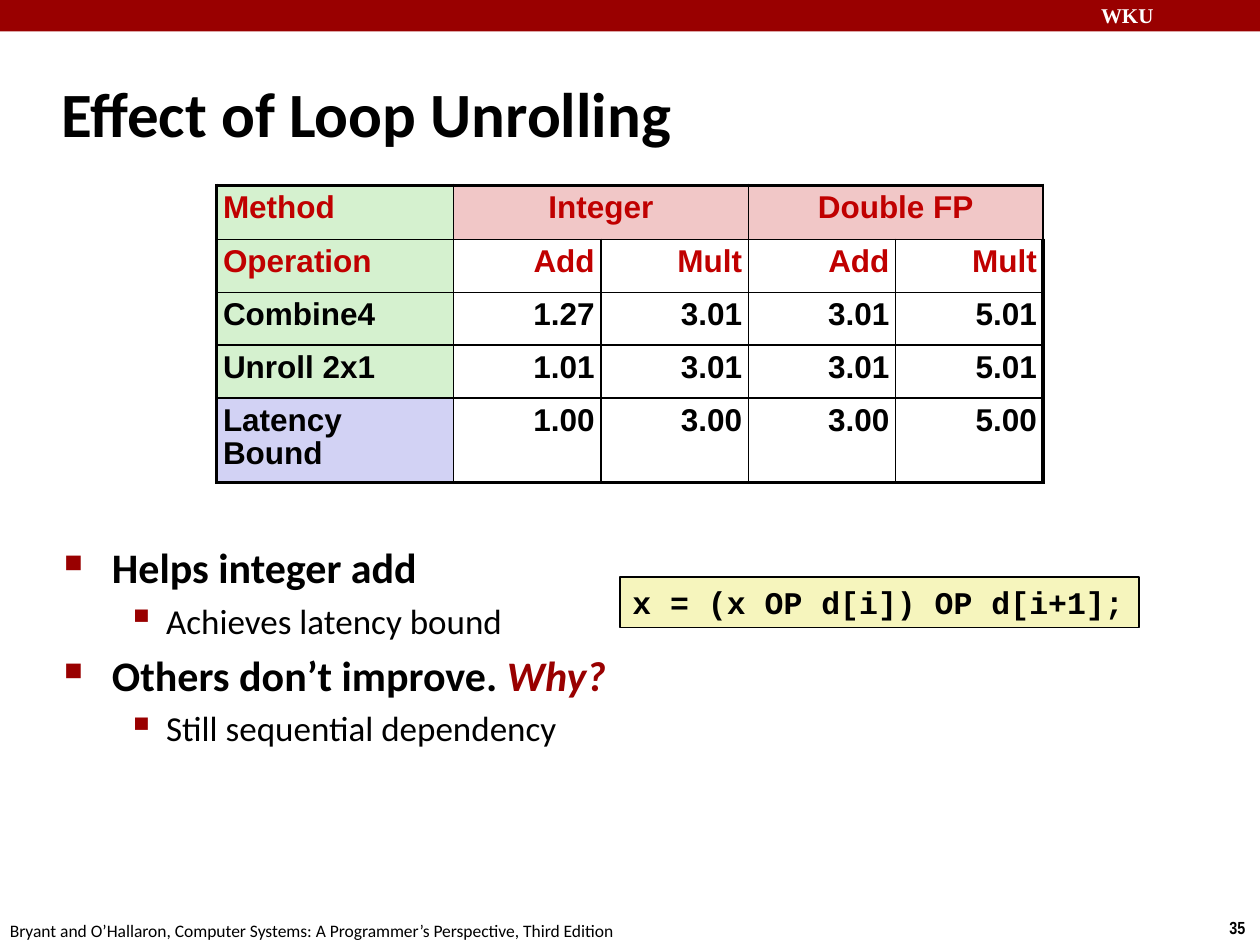
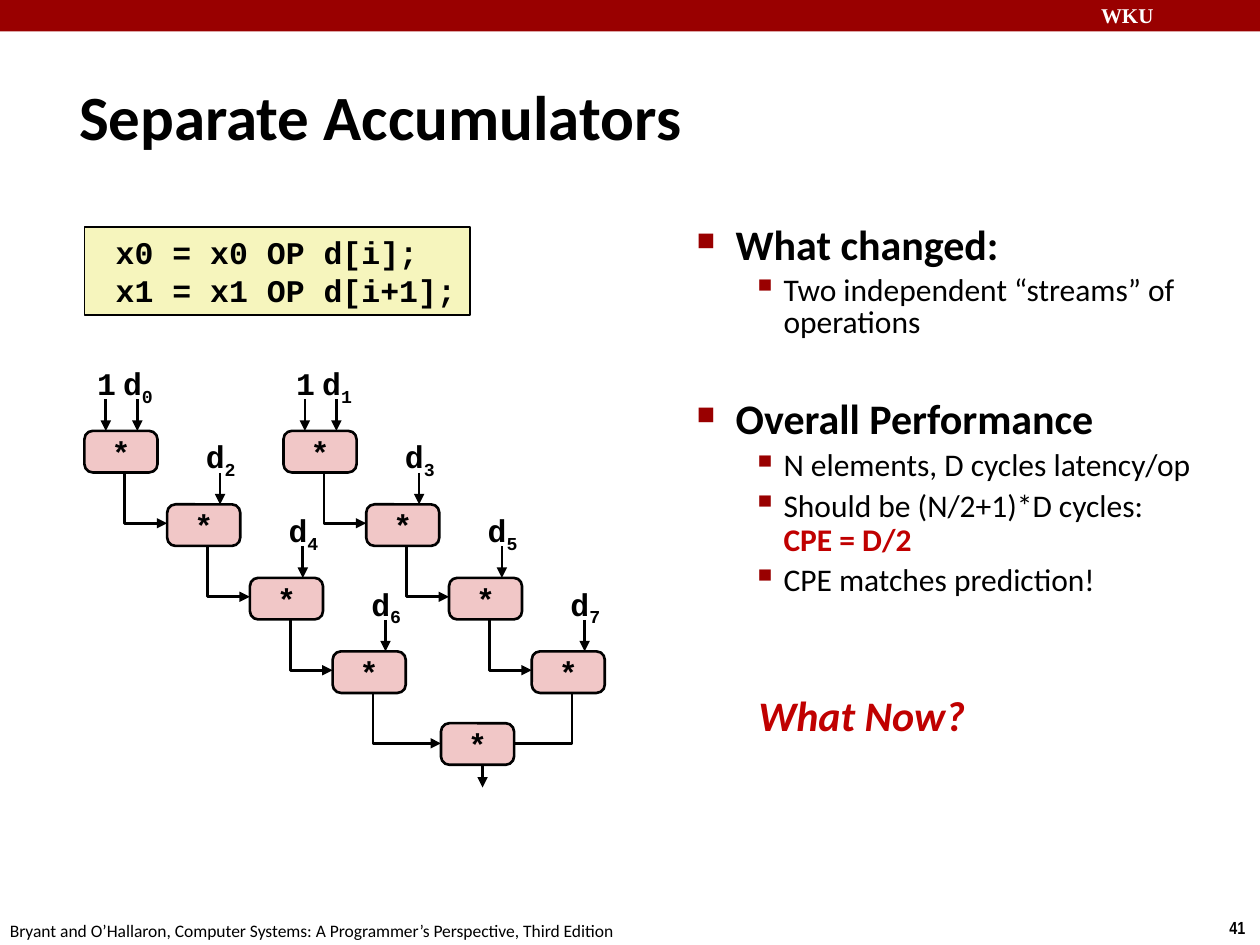
from dataclasses import dataclass

from lxml.etree import SubElement
from pptx import Presentation
from pptx.dml.color import RGBColor
from pptx.enum.shapes import MSO_CONNECTOR, MSO_SHAPE
from pptx.enum.text import MSO_ANCHOR, PP_ALIGN
from pptx.oxml.ns import qn
from pptx.util import Inches, Pt


@dataclass(frozen=True)
class Theme:
    # Colours
    band: str = "990000"
    red: str = "C00000"
    ink: str = "000000"
    white: str = "FFFFFF"
    code: str = "F6F5BD"
    pink: str = "F1C7C7"
    green: str = "D5F1CF"
    blue: str = "D2D2F4"
    # Fonts
    body: str = "Calibri"
    mono: str = "Courier New"
    grid: str = "Arial"
    # Type sizes
    title: int = 36
    head: int = 24
    sub: int = 20
    text: int = 18
    mark: int = 12
    foot: int = 10
    # Line widths
    thin: float = 1
    line: float = 1.5
    thick: float = 2.25


SOURCE = ("Bryant and O’Hallaron, Computer Systems: "
          "A Programmer’s Perspective, Third Edition")


class Deck:
    def __init__(self, theme):
        self.theme = theme
        self.deck = Presentation()
        self.deck.slide_width = Inches(10)
        self.deck.slide_height = Inches(7.5)
        self.slide = None

    # Shared frame of each slide
    def page(self, title, number, left, top):
        t = self.theme
        self.slide = self.deck.slides.add_slide(self.deck.slide_layouts[6])
        self.shape(MSO_SHAPE.RECTANGLE, 0, 0, 10, 0.25, t.band, None)
        self.label("WKU", 8.64, -0.03, 1.43, 0.3, t.mark,
                   "Times New Roman", t.white, bold=True)
        self.label(number, 9.66, 7.23, 0.34, 0.27, t.foot,
                   "Arial Narrow", bold=True, wrap=False)
        self.label(SOURCE, -0.02, 7.25, 5.08, 0.27, t.foot, wrap=False)
        frame = self.label(title, left, top, 8.3, 0.83, t.title, bold=True)
        frame.vertical_anchor = MSO_ANCHOR.MIDDLE

    # Text
    def style(self, run, size=None, face=None, color=None, bold=None,
              italic=None):
        font = run.font
        if size:
            font.size = Pt(size)
        if face:
            font.name = face
        if color:
            font.color.rgb = RGBColor.from_string(color)
        if bold is not None:
            font.bold = bold
        if italic is not None:
            font.italic = italic

    def words(self, frame, text, size, face, color, bold, italic=False):
        frame.text = text
        for para in frame.paragraphs:
            for run in para.runs:
                self.style(run, size, face, color, bold, italic)

    def label(self, text, left, top, width, height, size, face=None,
              color=None, bold=False, italic=False, wrap=True):
        box = self.slide.shapes.add_textbox(
            Inches(left), Inches(top), Inches(width), Inches(height))
        frame = box.text_frame
        frame.word_wrap = wrap
        self.words(frame, text, size, face or self.theme.body,
                   color or self.theme.ink, bold, italic)
        return frame

    def bullets(self, items, left, top, width, height, sub, hang):
        """Items are (level, text, space before, line spacing) tuples."""
        t = self.theme
        frame = self.label("\n".join(item[1] for item in items),
                           left, top, width, height, t.head)
        for para, (level, _, before, line) in zip(frame.paragraphs, items):
            start, back = hang[level]
            para.level = level
            props = para._p.get_or_add_pPr()
            props.set("marL", str(Inches(start)))
            props.set("indent", str(-Inches(back)))
            tint = SubElement(props, qn("a:buClr"))
            SubElement(tint, qn("a:srgbClr"), val=t.band)
            SubElement(props, qn("a:buSzPct"), val=("60000", "110000")[level])
            SubElement(props, qn("a:buChar"), char="■▪"[level])
            para.space_before = Pt(before)
            para.line_spacing = line
            for run in para.runs:
                self.style(run, sub if level else t.head, bold=not level)
        return frame

    # Shapes
    def shape(self, kind, left, top, width, height, fill, weight):
        shape = self.slide.shapes.add_shape(
            kind, Inches(left), Inches(top), Inches(width), Inches(height))
        shape.shadow.inherit = False
        shape.fill.solid()
        shape.fill.fore_color.rgb = RGBColor.from_string(fill)
        if weight:
            self.stroke(shape.line, weight)
        else:
            shape.line.fill.background()
        return shape

    def stroke(self, line, weight, head=False):
        line.color.rgb = RGBColor.from_string(self.theme.ink)
        line.width = Pt(weight)
        if head:
            SubElement(line._get_or_add_ln(), qn("a:tailEnd"), type="triangle")

    def code(self, text, left, top, width, height):
        t = self.theme
        box = self.shape(MSO_SHAPE.RECTANGLE, left, top, width, height,
                         t.code, t.thin)
        frame = box.text_frame
        frame.vertical_anchor = MSO_ANCHOR.TOP
        self.words(frame, text, t.text, t.mono, t.ink, True)
        for para in frame.paragraphs:
            para.alignment = PP_ALIGN.LEFT

    def node(self, left, top):
        t = self.theme
        box = self.shape(MSO_SHAPE.ROUNDED_RECTANGLE, left, top, 0.58, 0.33,
                         t.pink, t.line)
        box.adjustments[0] = 0.2
        frame = box.text_frame
        frame.word_wrap = False
        frame.vertical_anchor = MSO_ANCHOR.MIDDLE
        self.words(frame, "*", t.text, t.mono, t.ink, True)
        frame.paragraphs[0].alignment = PP_ALIGN.CENTER

    def arrow(self, x, top):
        line = self.slide.shapes.add_connector(
            MSO_CONNECTOR.STRAIGHT, Inches(x), Inches(top),
            Inches(x), Inches(top + 0.25))
        self.stroke(line.line, self.theme.line, head=True)
        SubElement(line._element.spPr, qn("a:effectLst"))

    def elbow(self, x, top, end, low, head=True):
        route = self.slide.shapes.build_freeform(Inches(x), Inches(top))
        route.add_line_segments([(Inches(x), Inches(low)),
                                 (Inches(end), Inches(low))], close=False)
        bend = route.convert_to_shape()
        bend.shadow.inherit = False
        bend.fill.background()
        self.stroke(bend.line, self.theme.line, head)

    def term(self, name, left, top, width, index=""):
        """A centred operand name with an optional subscript."""
        t = self.theme
        frame = self.label(name, left, top, width, 0.4, t.text, t.mono,
                           bold=True, wrap=False)
        frame.margin_left = frame.margin_right = Inches(0.05)
        para = frame.paragraphs[0]
        para.alignment = PP_ALIGN.CENTER
        if index:
            run = para.add_run()
            run.text = index
            self.style(run, t.text, t.mono, t.ink, True)
            run._r.get_or_add_rPr().set("baseline", "-25000")

    # Table
    def edge(self, cell, tag, weight):
        props = cell._tc.get_or_add_tcPr()
        line = SubElement(props, qn(tag), w=str(Pt(weight)))
        fill = SubElement(line, qn("a:solidFill"))
        SubElement(fill, qn("a:srgbClr"), val=self.theme.ink)

    def table(self, rows, fills, left, top, widths, heights):
        t = self.theme
        grid = self.slide.shapes.add_table(
            len(rows), len(widths), Inches(left), Inches(top),
            Inches(sum(widths)), Inches(sum(heights))).table
        grid.first_row = grid.horz_banding = False
        for col, width in zip(grid.columns, widths):
            col.width = Inches(width)
        for row, height in zip(grid.rows, heights):
            row.height = Inches(height)
        last_row, last_col = len(rows) - 1, len(widths) - 1
        for r, row in enumerate(rows):
            for c, text in enumerate(row):
                cell = grid.cell(r, c)
                for tag, outer in (("a:lnL", c == 0), ("a:lnR", c == last_col),
                                   ("a:lnT", r == 0), ("a:lnB", r == last_row)):
                    self.edge(cell, tag, t.thick if outer else t.thin)
                fill = fills[r] if c == 0 else t.pink if r == 0 else t.white
                cell.fill.solid()
                cell.fill.fore_color.rgb = RGBColor.from_string(fill)
                cell.margin_left = cell.margin_right = Inches(0.05)
                self.words(cell.text_frame, text, t.text, t.grid,
                           t.red if r < 2 else t.ink, True)
                para = cell.text_frame.paragraphs[0]
                para.line_spacing = 0.95
                para.alignment = (PP_ALIGN.LEFT if c == 0 else
                                  PP_ALIGN.CENTER if r == 0 else
                                  PP_ALIGN.RIGHT)
        for c in (1, 3):
            grid.cell(0, c).merge(grid.cell(0, c + 1))


def unroll(deck):
    t = deck.theme
    deck.page("Effect of Loop Unrolling", "35", 0.39, 0.48)

    # Points
    frame = deck.bullets([
        (0, "Helps integer add", 0, 1),
        (1, "Achieves latency bound", 4, 1),
        (0, "Others don’t improve. ", 4.8, 1),
        (1, "Still sequential dependency", 4, 1),
    ], 0.41, 4.25, 9.09, 2.92, t.sub, [(0.38, 0.38), (0.81, 0.31)])
    why = frame.paragraphs[2].add_run()
    why.text = "Why?"
    deck.style(why, t.head, t.body, t.band, True, True)

    deck.code("x = (x OP d[i]) OP d[i+1];", 4.92, 4.58, 4.12, 0.4)

    # Cycles per element
    deck.table([
        ("Method", "Integer", "", "Double FP", ""),
        ("Operation", "Add", "Mult", "Add", "Mult"),
        ("Combine4", "1.27", "3.01", "3.01", "5.01"),
        ("Unroll 2x1", "1.01", "3.01", "3.01", "5.01"),
        ("Latency Bound", "1.00", "3.00", "3.00", "5.00"),
    ], [t.green] * 4 + [t.blue], 1.72, 1.47,
        [1.88] + [1.17] * 4, [0.43] + [0.42] * 3 + [0.67])


def stream(deck, left, first):
    """One chain of four products; gives the foot of its last node."""
    for i in range(4):
        x, y = left + i * 1.97 / 3, 3.42 + i * 1.75 / 3
        if i:
            deck.elbow(*foot, x, y + 0.15)
        else:
            deck.arrow(x + 0.17, y - 0.25)
            deck.term("1", x + 0.05, y - 0.58, 0.25)
        deck.node(x, y)
        deck.arrow(x + 0.42, y - 0.25)
        deck.term("d", x + 0.25, y - 0.58, 0.35, str(first + 2 * i))
        foot = x + 0.32, y + 0.33
    return foot


def split(deck):
    t = deck.theme
    deck.page("Separate Accumulators", "41", 0.53, 0.5)
    deck.code(" x0 = x0 OP d[i];\n x1 = x1 OP d[i+1];", 0.67, 1.8, 3.06, 0.7)

    # Two streams and their final product
    deck.arrow(3.83, 6)
    evens = stream(deck, 0.67, 0)
    odds = stream(deck, 2.25, 1)
    deck.elbow(*evens, 3.5, 5.9)
    deck.elbow(*odds, 4.08, 5.9, head=False)
    deck.node(3.5, 5.74)

    # Points
    frame = deck.bullets([
        (0, "What changed:", 0, 0.85),
        (1, "Two independent “streams” of operations", 3.6, 0.85),
        (0, "Overall Performance", 34.5, 0.85),
        (1, "N elements, D cycles latency/op", 3.6, 0.9),
        (1, "Should be (N/2+1)*D cycles:\vCPE = D/2", 3.6, 0.9),
        (1, "CPE matches prediction!", 3.6, 0.9),
    ], 5.43, 1.75, 4.32, 3.42, t.text, [(0.31, 0.31), (0.69, 0.25)])
    deck.style(frame.paragraphs[4].runs[1], color=t.red, bold=True)
    deck.label("What Now?", 5.92, 5.42, 1.86, 0.5, t.head, color=t.red,
               bold=True, italic=True, wrap=False)


def main():
    deck = Deck(Theme())
    unroll(deck)
    split(deck)
    deck.deck.save("out.pptx")


if __name__ == "__main__":
    main()
